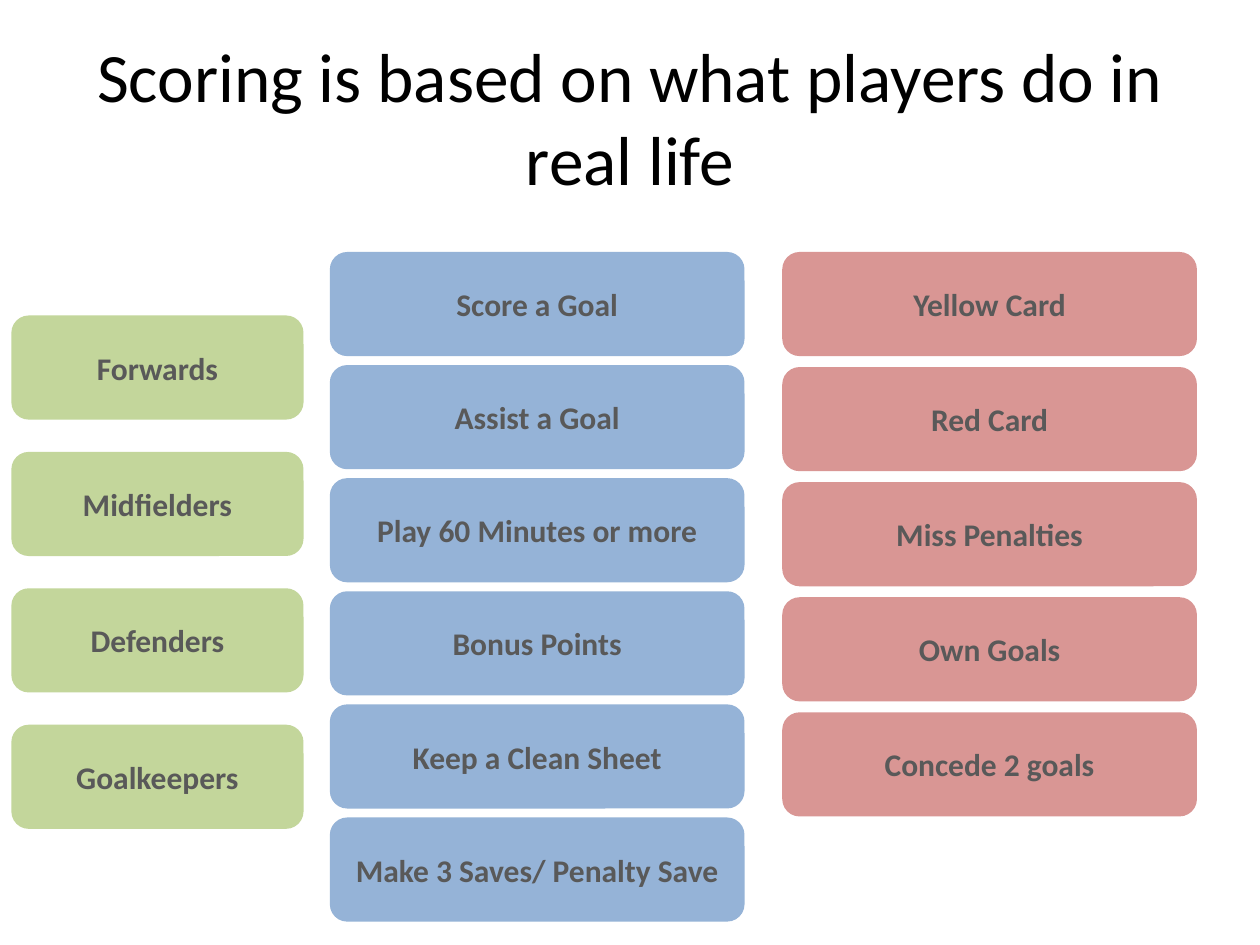
from pptx import Presentation
from pptx.dml.color import RGBColor
from pptx.enum import shapes, text
from pptx.util import Cm, Pt


def paint(color, hex_value):
    color.rgb = RGBColor.from_string(hex_value)


def write(frame, wording, size, hex_value, bold=False):
    frame.word_wrap = True
    frame.vertical_anchor = text.MSO_ANCHOR.MIDDLE
    paragraph = frame.paragraphs[0]
    paragraph.text = wording
    paragraph.alignment = text.PP_ALIGN.CENTER
    paragraph.font.name = "Calibri"
    paragraph.font.size = Pt(size)
    paragraph.font.bold = bold
    paint(paragraph.font.color, hex_value)


deck = Presentation()
deck.slide_width, deck.slide_height = Cm(25.4), Cm(19.05)
slide = deck.slides.add_slide(deck.slide_layouts[6])

# Heading
heading = slide.shapes.add_textbox(Cm(1.27), Cm(0.76), Cm(22.86), Cm(3.18))
write(heading.text_frame, "Scoring is based on what players do in real life", 39.6, "000000")

# Columns: left, top, width, row pitch (cm), fill, labels
positions = ["Forwards", "Midfielders", "Defenders", "Goalkeepers"]
rewards = ["Score a Goal", "Assist a Goal", "Play 60 Minutes or more",
           "Bonus Points", "Keep a Clean Sheet", "Make 3 Saves/ Penalty Save"]
penalties = ["Yellow Card", "Red Card", "Miss Penalties", "Own Goals", "Concede 2 goals"]
columns = [
    (0.23, 6.36, 5.89, 2.75, "C3D69B", positions),
    (6.65, 5.08, 8.36, 2.28, "95B3D7", rewards),
    (15.77, 5.08, 8.36, 2.32, "D99694", penalties),
]
for left, top, width, pitch, fill, labels in columns:
    for row, label in enumerate(labels):
        card = slide.shapes.add_shape(
            shapes.MSO_SHAPE.ROUNDED_RECTANGLE,
            Cm(left), Cm(top + row * pitch), Cm(width), Cm(2.1))
        card.shadow.inherit = False
        card.fill.solid()
        paint(card.fill.fore_color, fill)
        card.line.fill.background()
        write(card.text_frame, label, 18, "595959", bold=True)

deck.save("out.pptx")
